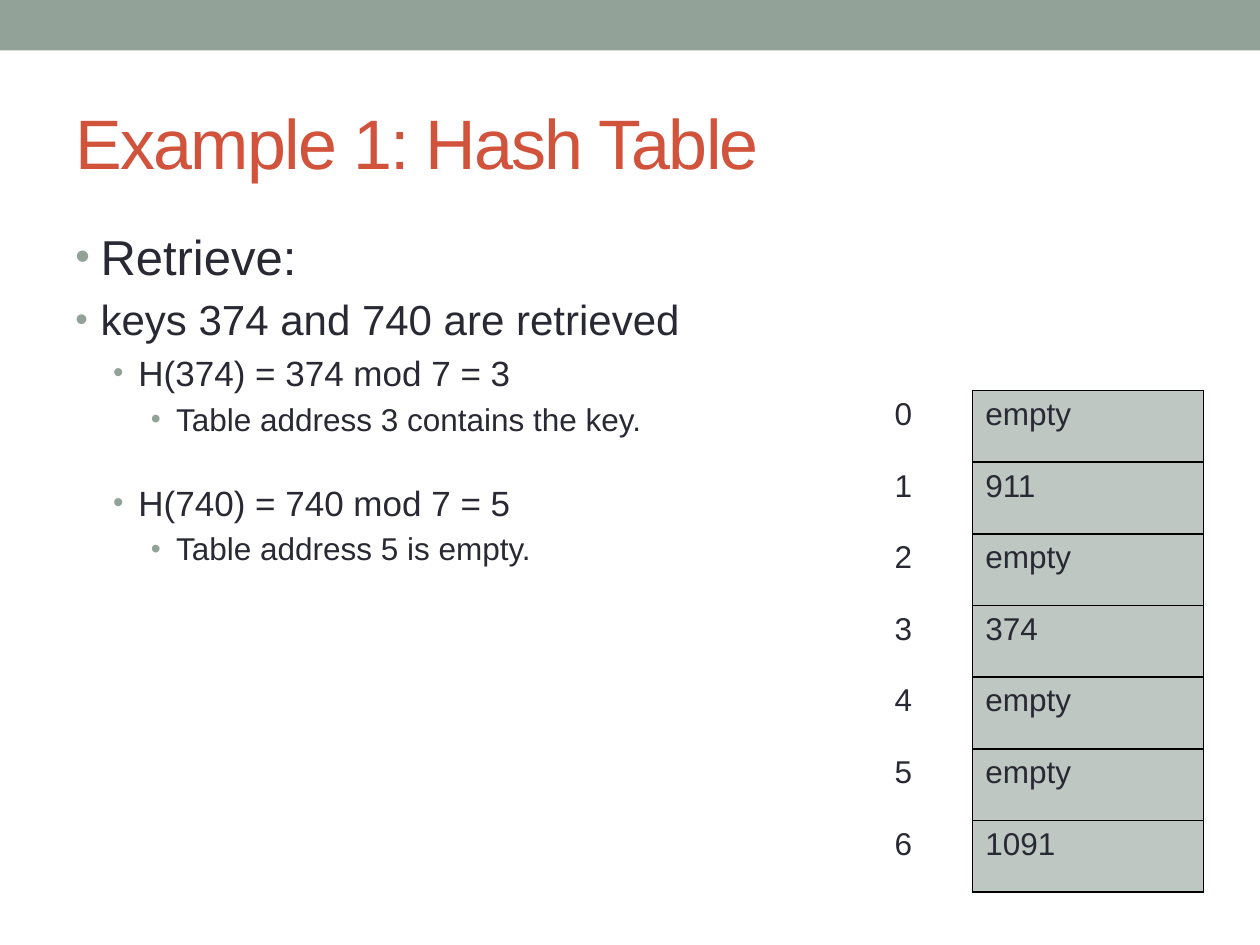
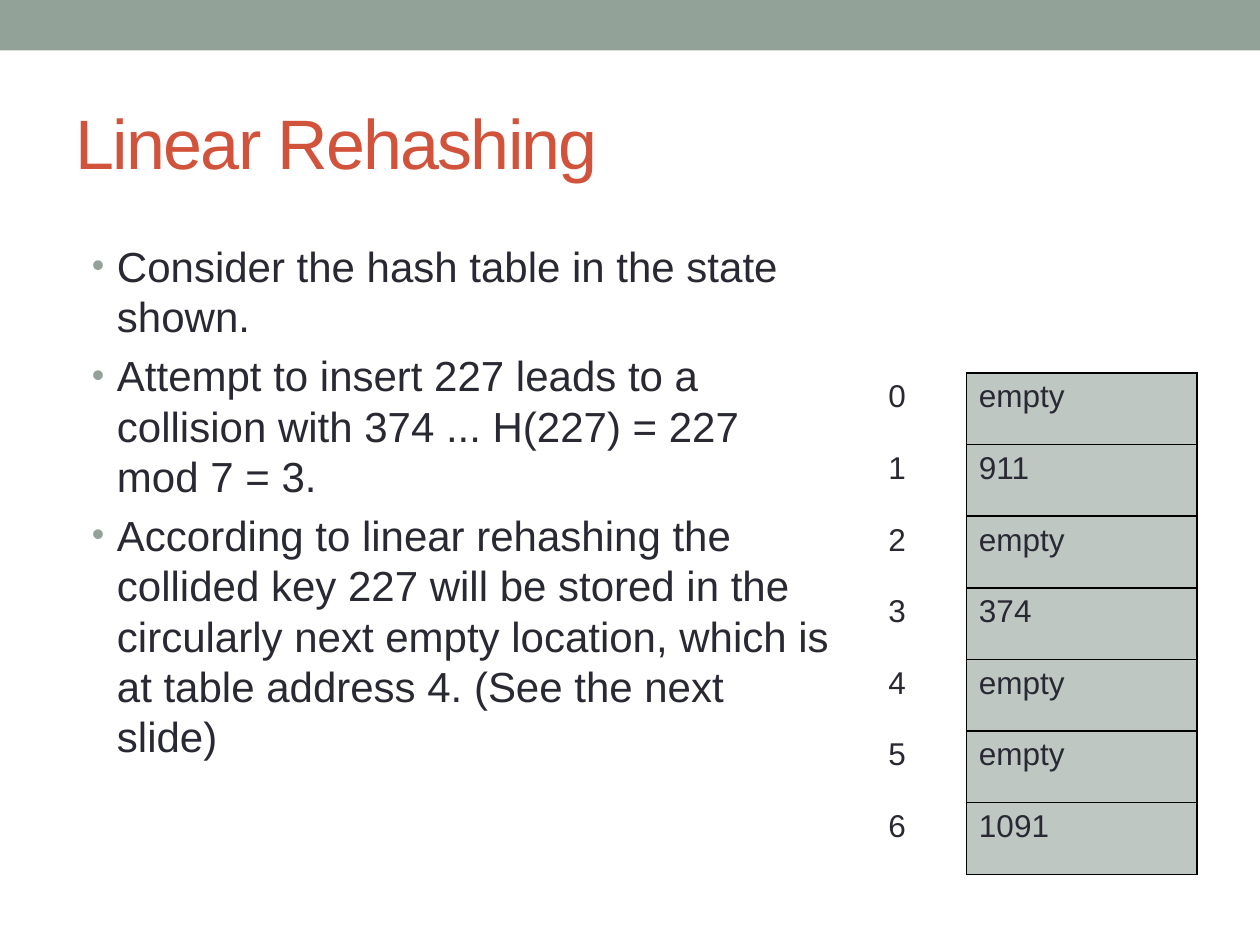
import pptx
import pptx.dml.color
import pptx.enum.shapes
import pptx.enum.text
import pptx.util
from lxml import etree
from pptx.oxml.ns import qn
from pptx.util import Inches

# Shared look
FONT = "Arial"
SAGE, RUST, INK = "93A299", "D2533C", "292934"
CELL_FILL, RULE = "BEC7C2", "000000"
TITLE_BOX = (0.5, 0.58, 9, 1.08)
LEVEL_INDENTS = (0.2, 0.5, 0.8)
BULLET_SIZES = (85, 85, 90)
HANGING = 0.2
HASH_TABLE = ("empty", "911", "empty", "374", "empty", "empty", "1091")


def rgb(value):
    return pptx.dml.color.RGBColor.from_string(value)


def add_span(para, text, size, color=INK):
    span = para.add_run()
    span.text = text
    span.font.name = FONT
    span.font.size = pptx.util.Pt(size)
    span.font.color.rgb = rgb(color)
    return span


def add_bullet(para, level):
    props = para._p.get_or_add_pPr()
    props.set("marL", str(Inches(LEVEL_INDENTS[level])))
    props.set("indent", str(-Inches(HANGING)))
    color = etree.SubElement(props, qn("a:buClr"))
    etree.SubElement(color, qn("a:srgbClr"), val=SAGE)
    etree.SubElement(props, qn("a:buSzPct"), val=str(BULLET_SIZES[level] * 1000))
    etree.SubElement(props, qn("a:buFont"), typeface=FONT)
    etree.SubElement(props, qn("a:buChar"), char="•")


def add_page(deck, title):
    """Add a page with the top band and its title."""
    page = deck.slides.add_slide(deck.slide_layouts[5])
    band = page.shapes.add_shape(pptx.enum.shapes.MSO_SHAPE.RECTANGLE,
                                 0, 0, deck.slide_width, Inches(0.4))
    band.shadow.inherit = False
    band.fill.solid()
    band.fill.fore_color.rgb = rgb(SAGE)
    band.line.fill.background()

    heading = page.shapes.title
    heading.left, heading.top, heading.width, heading.height = map(Inches, TITLE_BOX)
    heading.text_frame.vertical_anchor = pptx.enum.text.MSO_ANCHOR.MIDDLE
    para = heading.text_frame.paragraphs[0]
    para.alignment = pptx.enum.text.PP_ALIGN.LEFT
    span = add_span(para, title, 40, RUST)
    span.font._element.set("spc", "-100")
    return page


def add_bullets(page, box, items):
    """Fill a box with items of (level, size, text, extra points before)."""
    frame = page.shapes.add_textbox(*map(Inches, box)).text_frame
    frame.word_wrap = True
    for number, (level, size, text, extra) in enumerate(items):
        para = frame.add_paragraph() if number else frame.paragraphs[0]
        para.level = level
        if number:
            para.space_before = pptx.util.Pt(0.2 * size + extra)
        add_bullet(para, level)
        add_span(para, text, size)


def add_borders(cell, sides):
    props = cell._tc.get_or_add_tcPr()
    for position, side in enumerate(sides):
        line = etree.Element(qn(f"a:ln{side}"), w=str(pptx.util.Pt(1)))
        fill = etree.SubElement(line, qn("a:solidFill"))
        etree.SubElement(fill, qn("a:srgbClr"), val=RULE)
        props.insert(position, line)


def add_hash_table(page, left, top):
    """Draw addresses, a narrow gap and the stored keys."""
    widths = (0.42, 0.3, 1.83)
    frame = page.shapes.add_table(len(HASH_TABLE), len(widths), Inches(left),
                                  Inches(top), Inches(sum(widths)), Inches(3.98))
    table = frame.table
    table.first_row = table.horz_banding = False
    for column, width in zip(table.columns, widths):
        column.width = Inches(width)
    for address, key in enumerate(HASH_TABLE):
        label, gap, slot = table.rows[address].cells
        for cell in (label, gap):
            cell.fill.background()
        slot.fill.solid()
        slot.fill.fore_color.rgb = rgb(CELL_FILL)
        add_borders(gap, "R")
        add_borders(slot, "LRTB")
        add_span(label.text_frame.paragraphs[0], str(address), 18)
        add_span(slot.text_frame.paragraphs[0], key, 18)


def add_retrieval_page(deck):
    page = add_page(deck, "Example 1: Hash Table")
    add_bullets(page, (0.5, 1.75, 9, 5.33), (
        (0, 28, "Retrieve:", 0),
        (0, 24, "keys 374 and 740 are retrieved", 0),
        (1, 20, "H(374) = 374 mod 7 = 3", 0),
        (2, 18, "Table address 3 contains the key.", 0),
        (1, 20, "H(740) = 740 mod 7 = 5", 21),
        (2, 18, "Table address 5 is empty.", 0),
    ))
    add_hash_table(page, 7, 3.1)


def add_rehashing_page(deck):
    page = add_page(deck, "Linear Rehashing")
    texts = (
        "Consider the hash table in the state shown.",
        "Attempt to insert 227 leads to a collision with 374 ... "
        "H(227) = 227 mod 7 = 3.",
        "According to linear rehashing the collided key 227 will be stored in the "
        "circularly next empty location, which is at table address 4. "
        "(See the next slide)",
    )
    add_bullets(page, (0.63, 1.86, 6.05, 4.8), [(0, 24, text, 0) for text in texts])
    add_hash_table(page, 6.95, 2.96)


def main():
    deck = pptx.Presentation()
    deck.slide_width, deck.slide_height = Inches(10), Inches(7.5)
    add_retrieval_page(deck)
    add_rehashing_page(deck)
    deck.save("out.pptx")


if __name__ == "__main__":
    main()
